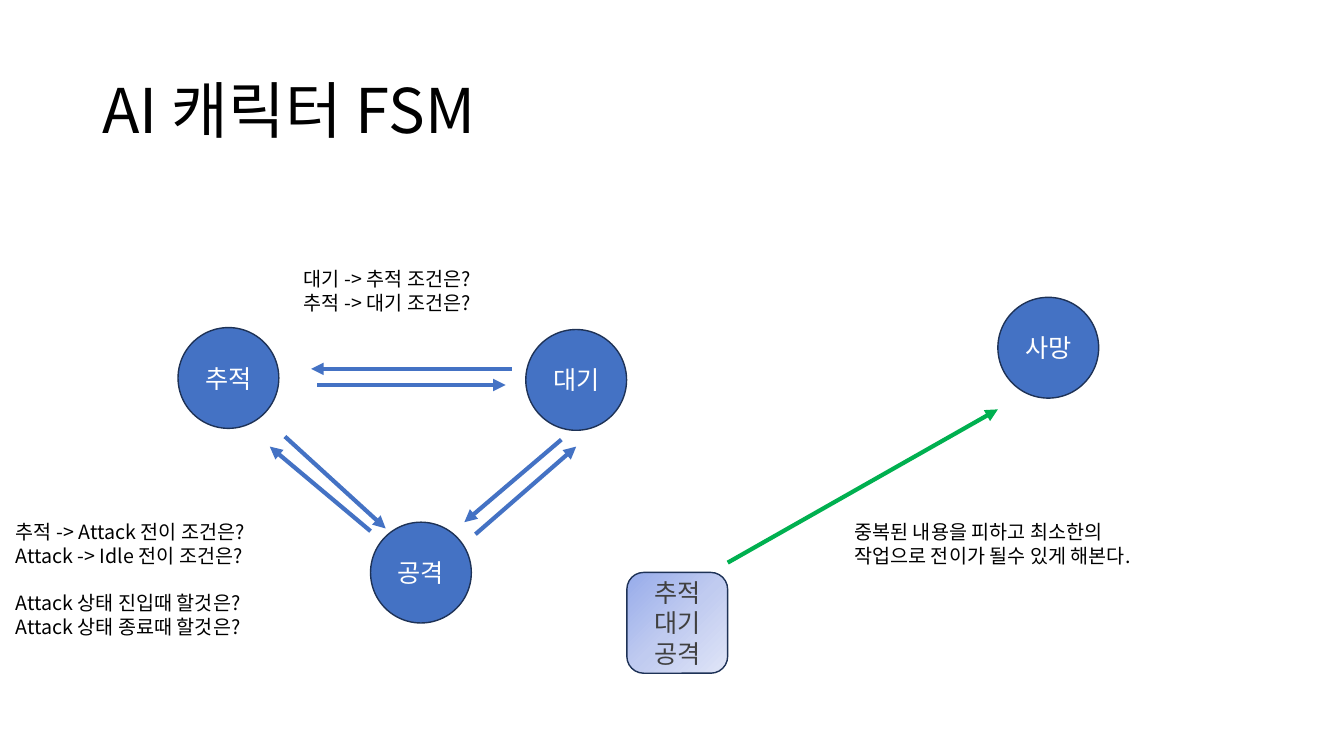
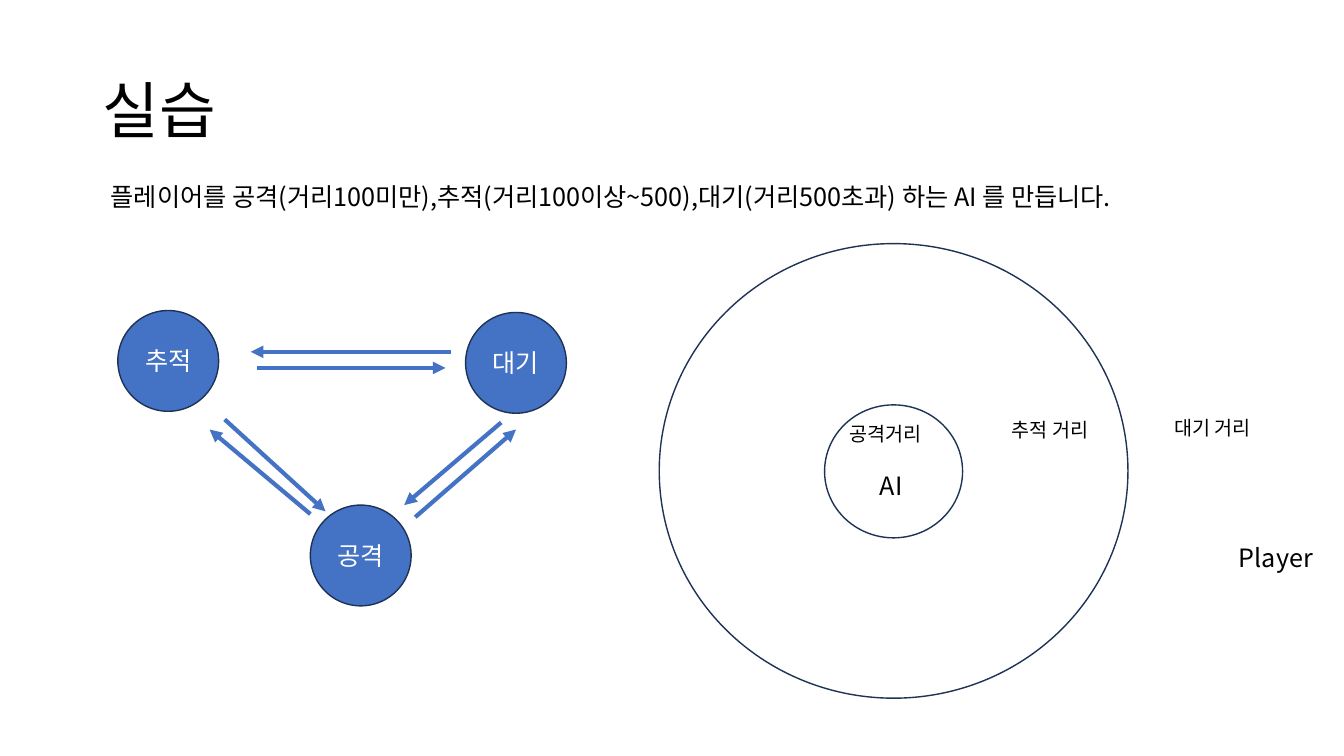
from copy import deepcopy

from lxml import etree
from pptx import Presentation
from pptx.dml.color import RGBColor
from pptx.enum.shapes import MSO_CONNECTOR, MSO_SHAPE
from pptx.enum.text import MSO_ANCHOR, MSO_AUTO_SIZE, PP_ALIGN
from pptx.oxml.ns import qn
from pptx.util import Pt

STRAIGHT = MSO_CONNECTOR.STRAIGHT
OVAL, ROUNDED = MSO_SHAPE.OVAL, MSO_SHAPE.ROUNDED_RECTANGLE
LEFT, CENTER = PP_ALIGN.LEFT, PP_ALIGN.CENTER
TOP, MIDDLE = MSO_ANCHOR.TOP, MSO_ANCHOR.MIDDLE
NO_AUTOFIT = MSO_AUTO_SIZE.NONE

BLACK = RGBColor(0x00, 0x00, 0x00)
WHITE = RGBColor(0xFF, 0xFF, 0xFF)
DARK_GRAY = RGBColor(0x40, 0x40, 0x40)
BLUE = RGBColor(0x44, 0x72, 0xC4)
NAVY = RGBColor(0x1E, 0x32, 0x56)
GREEN = RGBColor(0x00, 0xB0, 0x50)
GRADIENT = ((0, RGBColor(0x96, 0xAB, 0xEA)),
            (0.5, RGBColor(0xC0, 0xCB, 0xF0)),
            (1, RGBColor(0xE0, 0xE5, 0xF7)))

FONT = "Noto Sans CJK KR"
TITLE_ONLY = 5
STATE_SIZE = 72

# State machine, relative to its top left corner
STATES = (("추적", 0, 0), ("대기", 248.4, 1.4), ("공격", 137.5, 139))
TRANSITIONS = (
    ((238.3, 29.5), (95, 29.5)),       # idle to chase
    ((99.4, 41), (234, 41)),           # chase to idle
    ((76.3, 77.8), (148.3, 143.5)),    # chase to attack
    ((137.5, 145.4), (65.5, 85)),      # attack to chase
    ((273.8, 80), (204.5, 139)),       # idle to attack
    ((212.4, 147.6), (284.4, 85)),     # attack to idle
)


def write_text(frame, text, size=18, color=BLACK, align=LEFT, anchor=TOP,
               line_spacing=None, group_gap=17):
    """Write one paragraph a line; a tab before a line opens a new group."""
    frame.word_wrap = True
    frame.auto_size = NO_AUTOFIT
    frame.vertical_anchor = anchor
    for index, line in enumerate(text.split("\n")):
        paragraph = frame.add_paragraph() if index else frame.paragraphs[0]
        paragraph.alignment = align
        if line_spacing:
            paragraph.line_spacing = line_spacing
        if line.startswith("\t"):
            paragraph.space_before = Pt(group_gap)
        run = paragraph.add_run()
        run.text = line.strip()
        run.font.size = Pt(size)
        run.font.color.rgb = color
        run.font.name = FONT
        east_asian = etree.SubElement(run.font._element, qn("a:ea"))
        east_asian.set("typeface", FONT)


def add_label(slide, text, left, top, width, height, **text_format):
    box = slide.shapes.add_textbox(Pt(left), Pt(top), Pt(width), Pt(height))
    write_text(box.text_frame, text, **text_format)


def add_outlined_shape(slide, kind, left, top, width, height):
    shape = slide.shapes.add_shape(kind, Pt(left), Pt(top), Pt(width), Pt(height))
    shape.shadow.inherit = False
    shape.fill.background()
    shape.line.color.rgb = NAVY
    shape.line.width = Pt(1)
    return shape


def add_state(slide, name, left, top):
    shape = add_outlined_shape(slide, OVAL, left, top, STATE_SIZE, STATE_SIZE)
    shape.fill.solid()
    shape.fill.fore_color.rgb = BLUE
    write_text(shape.text_frame, name, color=WHITE, align=CENTER, anchor=MIDDLE)


def add_state_group(slide, names, left, top):
    shape = add_outlined_shape(slide, ROUNDED, left, top, STATE_SIZE, STATE_SIZE)
    shape.fill.gradient()
    shape.fill.gradient_angle = 315
    stop_list = shape._element.spPr.find(".//" + qn("a:gsLst"))
    stop_list.append(deepcopy(stop_list[0]))
    for stop, (position, color) in zip(shape.fill.gradient_stops, GRADIENT):
        stop.position = position
        stop.color.rgb = color
    write_text(shape.text_frame, names, color=DARK_GRAY, align=CENTER, anchor=MIDDLE)


def add_arrow(slide, start, end, color=BLUE):
    arrow = slide.shapes.add_connector(STRAIGHT, *(Pt(value) for value in (*start, *end)))
    arrow.line.color.rgb = color
    arrow.line.width = Pt(3)
    properties = arrow._element.spPr
    line = properties.find(qn("a:ln"))
    etree.SubElement(line, qn("a:tailEnd")).set("type", "triangle")
    etree.SubElement(properties, qn("a:effectLst"))


def add_state_machine(slide, left, top):
    for name, x, y in STATES:
        add_state(slide, name, left + x, top + y)
    for start, end in TRANSITIONS:
        add_arrow(slide, (left + start[0], top + start[1]),
                  (left + end[0], top + end[1]))


def add_death_transition(slide, left, top):
    """Any living state leads to death; the box starts at the state group."""
    add_state_group(slide, "추적\n대기\n공격", left, top + 196.5)
    add_state(slide, "사망", left + 265, top)
    add_arrow(slide, (left + 72, top + 189.5), (left + 265, top + 80), color=GREEN)


def add_range_diagram(slide, left, top):
    """Attack and chase ranges around the AI, with the player outside."""
    add_outlined_shape(slide, OVAL, left, top, 334.8, 324.7)
    add_outlined_shape(slide, OVAL, left + 118.1, top + 115.2, 98.6, 95)
    for text, x, y, width, size in (
            ("공격거리", 129, 124, 72, 14),
            ("추적 거리", 244.8, 121, 77, 14),
            ("대기 거리", 360.7, 119.5, 77, 14),
            ("AI", 150.5, 158.5, 43, 18),
            ("Player", 407, 209.5, 72, 18)):
        add_label(slide, text, left + x, top + y, width, 28, size=size)


def add_titled_slide(presentation, title):
    slide = presentation.slides.add_slide(presentation.slide_layouts[TITLE_ONLY])
    placeholder = slide.shapes.title
    placeholder.left, placeholder.top = Pt(66), Pt(28.8)
    placeholder.width, placeholder.height = Pt(828), Pt(104.4)
    write_text(placeholder.text_frame, title, size=44, anchor=MIDDLE, line_spacing=0.9)
    return slide


def build_fsm_slide(presentation):
    slide = add_titled_slide(presentation, "AI 캐릭터 FSM")
    add_state_machine(slide, 127.2, 234)
    add_death_transition(slide, 447.8, 212.4)
    # Questions and advice
    add_label(slide, "대기 -> 추적 조건은?\n추적 -> 대기 조건은?",
              210, 187.2, 168, 41, size=14)
    add_label(slide, "추적 -> Attack 전이 조건은?\nAttack -> Idle 전이 조건은?\n"
              "\tAttack 상태 진입때 할것은?\nAttack 상태 종료때 할것은?",
              4.3, 368, 203, 92, size=14)
    add_label(slide, "중복된 내용을 피하고 최소한의\n작업으로 전이가 될수 있게 해본다.",
              603.2, 368, 257, 41, size=14)


def build_practice_slide(presentation):
    slide = add_titled_slide(presentation, "실습")
    add_state_machine(slide, 84.2, 221.8)
    add_range_diagram(slide, 470.9, 174)
    # Task
    add_label(slide, "플레이어를 공격(거리100미만),추적(거리100이상~500),"
              "대기(거리500초과) 하는 AI 를 만듭니다.", 72, 126, 780, 29)


def main():
    presentation = Presentation()
    presentation.slide_width, presentation.slide_height = Pt(960), Pt(540)
    build_fsm_slide(presentation)
    build_practice_slide(presentation)
    presentation.save("out.pptx")


if __name__ == "__main__":
    main()
